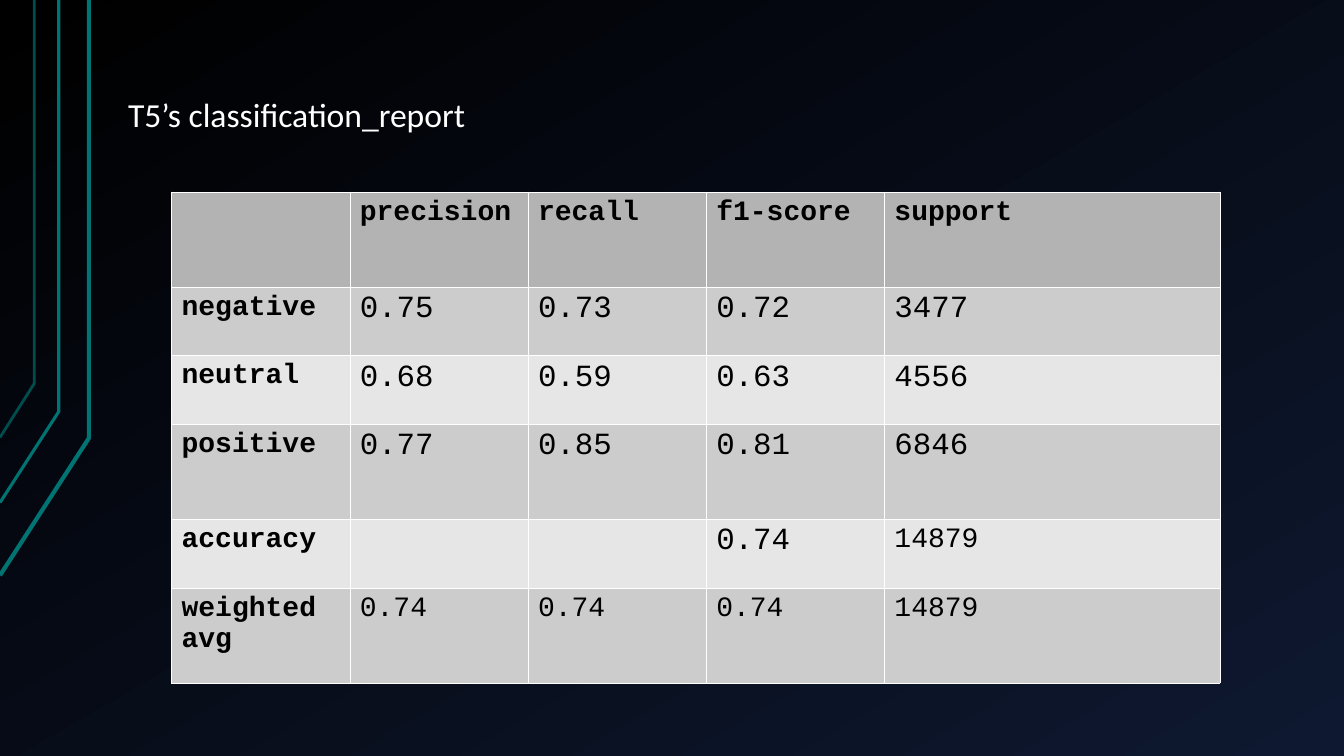
from dataclasses import dataclass

from lxml import etree
from pptx import Presentation
from pptx.dml.color import RGBColor
from pptx.enum.text import MSO_ANCHOR
from pptx.oxml.ns import qn
from pptx.util import Pt


@dataclass(frozen=True)
class Theme:
    back_start: str = "000000"
    back_end: str = "0E1830"
    teal: str = "007373"
    dark_teal: str = "004D4D"
    title: str = "FFFFFF"
    ink: str = "000000"
    border: str = "FFFFFF"
    header: str = "B3B3B3"
    bands: tuple = ("CCCCCC", "E6E6E6")
    title_font: str = "Calibri"
    table_font: str = "Courier New"
    title_size: float = 24
    label_size: float = 20
    score_size: float = 22
    border_width: float = 0.06


THEME = Theme()
TOTAL = "14879"
COL_SHARES = (0.17, 0.17, 0.17, 0.17, 0.32)
ROW_HEIGHTS = (68, 49, 49, 68, 49, 68)
REPORT = (
    ("", "precision", "recall", "f1-score", "support"),
    ("negative", "0.75", "0.73", "0.72", "3477"),
    ("neutral", "0.68", "0.59", "0.63", "4556"),
    ("positive", "0.77", "0.85", "0.81", "6846"),
    ("accuracy", "", "", "0.74", TOTAL),
    ("weighted avg", "0.74", "0.74", "0.74", TOTAL),
)


def rgb(color):
    return RGBColor.from_string(color)


def paint_background(s):
    fill = s.background.fill
    fill.gradient()
    fill.gradient_angle = 300
    for stop, color in zip(fill.gradient_stops, (THEME.back_start, THEME.back_end)):
        stop.color.rgb = rgb(color)


def add_bent_lines(s, left, top):
    """Draw the teal lines that run down from the top and bend off to the left."""
    # x of the upright, y of the bend, y of the end, colour, width
    lines = (
        (63.5, 313, 411, THEME.teal, 3),
        (42, 294, 359, THEME.teal, 2.25),
        (24.5, 274, 312.5, THEME.dark_teal, 2),
    )
    for x, bend, end, color, width in lines:
        builder = s.shapes.build_freeform(Pt(left), Pt(top + end))
        builder.add_line_segments(
            [(Pt(left + x), Pt(top + bend)), (Pt(left + x), Pt(top))], close=False)
        sp = builder.convert_to_shape()
        sp.shadow.inherit = False
        sp.fill.background()
        sp.line.color.rgb = rgb(color)
        sp.line.width = Pt(width)


def add_title(s, text, left, top, width, height):
    tf = s.shapes.add_textbox(Pt(left), Pt(top), Pt(width), Pt(height)).text_frame
    tf.word_wrap = True
    tf.vertical_anchor = MSO_ANCHOR.MIDDLE
    tf.margin_left = tf.margin_right = tf.margin_top = tf.margin_bottom = 0
    p = tf.paragraphs[0]
    p.text = text
    p.font.name = THEME.title_font
    p.font.size = Pt(THEME.title_size)
    p.font.color.rgb = rgb(THEME.title)


def add_borders(cell):
    tc_pr = cell._tc.get_or_add_tcPr()
    for side in ("a:lnL", "a:lnR", "a:lnT", "a:lnB"):
        ln = etree.SubElement(tc_pr, qn(side), w=str(Pt(THEME.border_width)))
        fill = etree.SubElement(ln, qn("a:solidFill"))
        etree.SubElement(fill, qn("a:srgbClr"), val=THEME.border)


def style_cell(cell, text, fill, size, bold):
    add_borders(cell)
    cell.fill.solid()
    cell.fill.fore_color.rgb = rgb(fill)
    cell.text = text
    font = cell.text_frame.paragraphs[0].font
    font.name = THEME.table_font
    font.size = Pt(size)
    font.bold = bold
    font.color.rgb = rgb(THEME.ink)


def add_report(s, left, top, width):
    table = s.shapes.add_table(
        len(REPORT), len(COL_SHARES), Pt(left), Pt(top), Pt(width),
        Pt(sum(ROW_HEIGHTS))).table
    for col, share in zip(table.columns, COL_SHARES):
        col.width = Pt(width * share)
    for row, height in zip(table.rows, ROW_HEIGHTS):
        row.height = Pt(height)
    last = len(REPORT) - 1
    for i, values in enumerate(REPORT):
        fill = THEME.bands[(i - 1) % 2] if i else THEME.header
        for j, text in enumerate(values):
            heading = i == 0 or j == 0
            small = heading or i == last or text == TOTAL
            size = THEME.label_size if small else THEME.score_size
            style_cell(table.cell(i, j), text, fill, size, heading)


def build_slide(prs):
    s = prs.slides.add_slide(prs.slide_layouts[6])
    paint_background(s)
    add_bent_lines(s, 0, 0)
    add_title(s, "T5’s classification_report", 91.5, 33, 816, 96.5)
    add_report(s, 122.5, 137, 749)


def main():
    prs = Presentation()
    prs.slide_width, prs.slide_height = Pt(960), Pt(540)
    build_slide(prs)
    prs.save("out.pptx")


if __name__ == "__main__":
    main()
